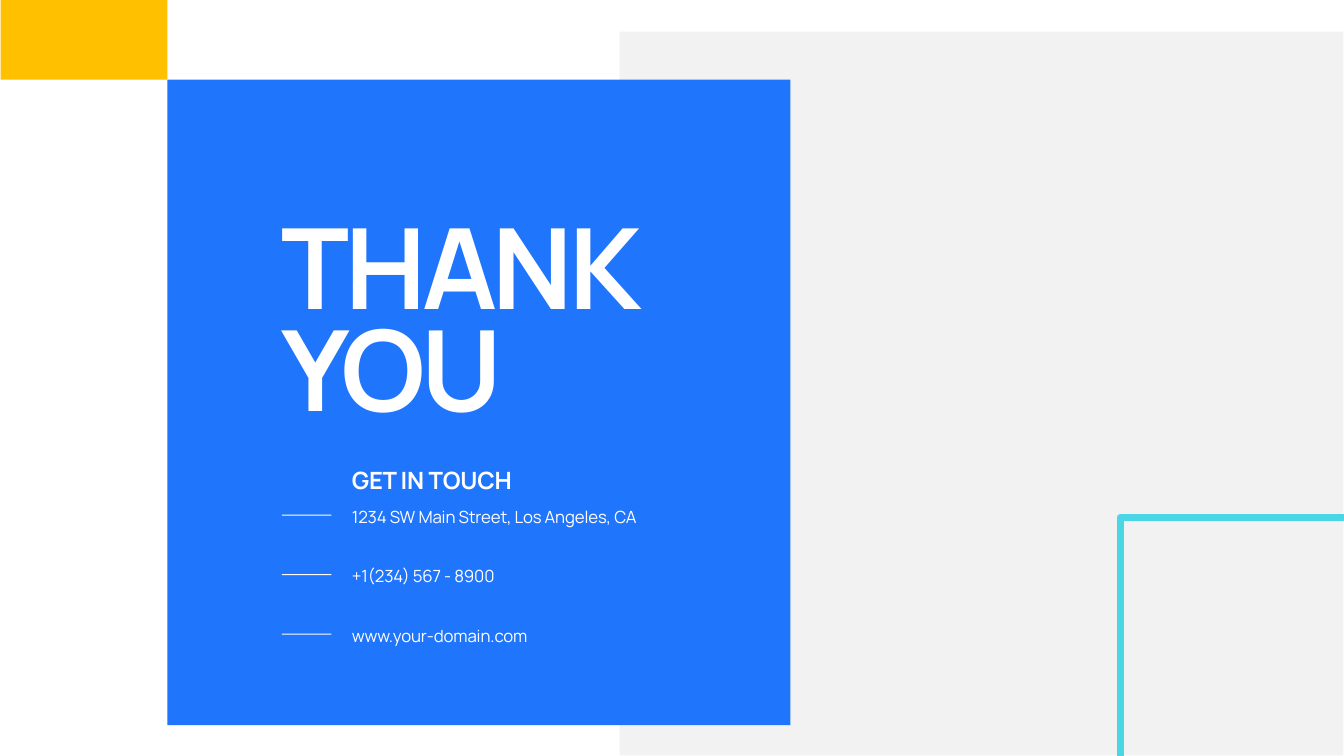
"""Build a closing slide with a thank-you title and contact details."""
from dataclasses import dataclass

from pptx import Presentation
from pptx.dml.color import RGBColor
from pptx.enum.shapes import MSO_SHAPE
from pptx.enum.text import MSO_ANCHOR, MSO_AUTO_SIZE
from pptx.util import Inches, Pt

RECTANGLE = MSO_SHAPE.RECTANGLE
TOP, BOTTOM = MSO_ANCHOR.TOP, MSO_ANCHOR.BOTTOM
GROW = MSO_AUTO_SIZE.SHAPE_TO_FIT_TEXT
WIDTH, HEIGHT = Inches(26.66), Inches(15)
WHITE, GREY, BLUE, YELLOW, CYAN = "FFFFFF", "F2F2F2", "2075FD", "FFC000", "4BD6E5"
FONT = "Manrope"


@dataclass(frozen=True)
class Area:
    """A rectangle in percent of the slide's width and height."""
    x: float
    y: float
    w: float
    h: float

    def box(self) -> tuple:
        """Return left, top, width and height as lengths."""
        return (across(self.x), down(self.y), across(self.w), down(self.h))


@dataclass(frozen=True)
class Style:
    """The look of one kind of text."""
    size: int
    spacing: int
    bold: bool = False
    anchor: MSO_ANCHOR = BOTTOM
    leading: int | None = None


TITLE = Style(160, -600, bold=True)
HEADING = Style(34, -30, bold=True)
DETAIL = Style(24, -20, anchor=TOP, leading=36)

PANELS = (
    (Area(46.1, 4.2, 53.86, 95.73), GREY),
    (Area(12.45, 10.53, 46.36, 85.4), BLUE),
    (Area(0.04, 0, 12.41, 10.53), YELLOW),
)
TITLE_LINES = ("THANK", "YOU")
CONTACTS = ("1234 SW Main Street, Los Angeles, CA", "+1(234) 567 - 8900", "www.your-domain.com")
TITLE_STEP, CONTACT_STEP = 13.47, 7.87


def across(percent: float) -> int:
    """Convert a share of the slide's width to a length."""
    return int(WIDTH * percent / 100)


def down(percent: float) -> int:
    """Convert a share of the slide's height to a length."""
    return int(HEIGHT * percent / 100)


def color(value: str) -> RGBColor:
    """Convert a hex string to a colour."""
    return RGBColor.from_string(value)


def add_panel(s, area: Area, fill: str) -> None:
    """Draw a plain filled rectangle."""
    sp = s.shapes.add_shape(RECTANGLE, *area.box())
    sp.shadow.inherit = False
    sp.fill.solid()
    sp.fill.fore_color.rgb = color(fill)
    sp.line.fill.background()


def add_corner(s, x: float, y: float) -> None:
    """Draw an open frame running off the lower right edges."""
    builder = s.shapes.build_freeform(across(x), HEIGHT)
    builder.add_line_segments([(across(x), down(y)), (WIDTH, down(y))], close=False)
    sp = builder.convert_to_shape()
    sp.shadow.inherit = False
    sp.fill.background()
    sp.line.color.rgb = color(CYAN)
    sp.line.width = Pt(10)


def add_text(s, area: Area, text: str, style: Style) -> None:
    """Write one line of white text."""
    tf = s.shapes.add_textbox(*area.box()).text_frame
    tf.word_wrap = True
    tf.auto_size = GROW
    tf.vertical_anchor = style.anchor
    p = tf.paragraphs[0]
    if style.leading:
        p.line_spacing = Pt(style.leading)
    p.font.name = FONT
    p.font.size = Pt(style.size)
    p.font.bold = style.bold
    p.font.color.rgb = color(WHITE)
    r = p.add_run()
    r.text = text
    r._r.get_or_add_rPr().set("spc", str(style.spacing))


def main() -> None:
    """Build and save the slide."""
    prs = Presentation()
    prs.slide_width, prs.slide_height = WIDTH, HEIGHT
    s = prs.slides.add_slide(prs.slide_layouts[6])
    for area, fill in PANELS:
        add_panel(s, area, fill)
    add_corner(s, 83.35, 68.4)
    for row, text in enumerate(TITLE_LINES):
        add_text(s, Area(20.59, 25.07 + row * TITLE_STEP, 31.4, 19.2), text, TITLE)
    add_text(s, Area(25.81, 61.27, 26.22, 4.47), "GET IN TOUCH", HEADING)
    for row, text in enumerate(CONTACTS):
        y = 66 + row * CONTACT_STEP
        add_panel(s, Area(20.97, y + 2.07, 3.68, 0.13), WHITE)
        add_text(s, Area(25.81, y, 26.22, 3.87), text, DETAIL)
    prs.save("out.pptx")


if __name__ == "__main__":
    main()
